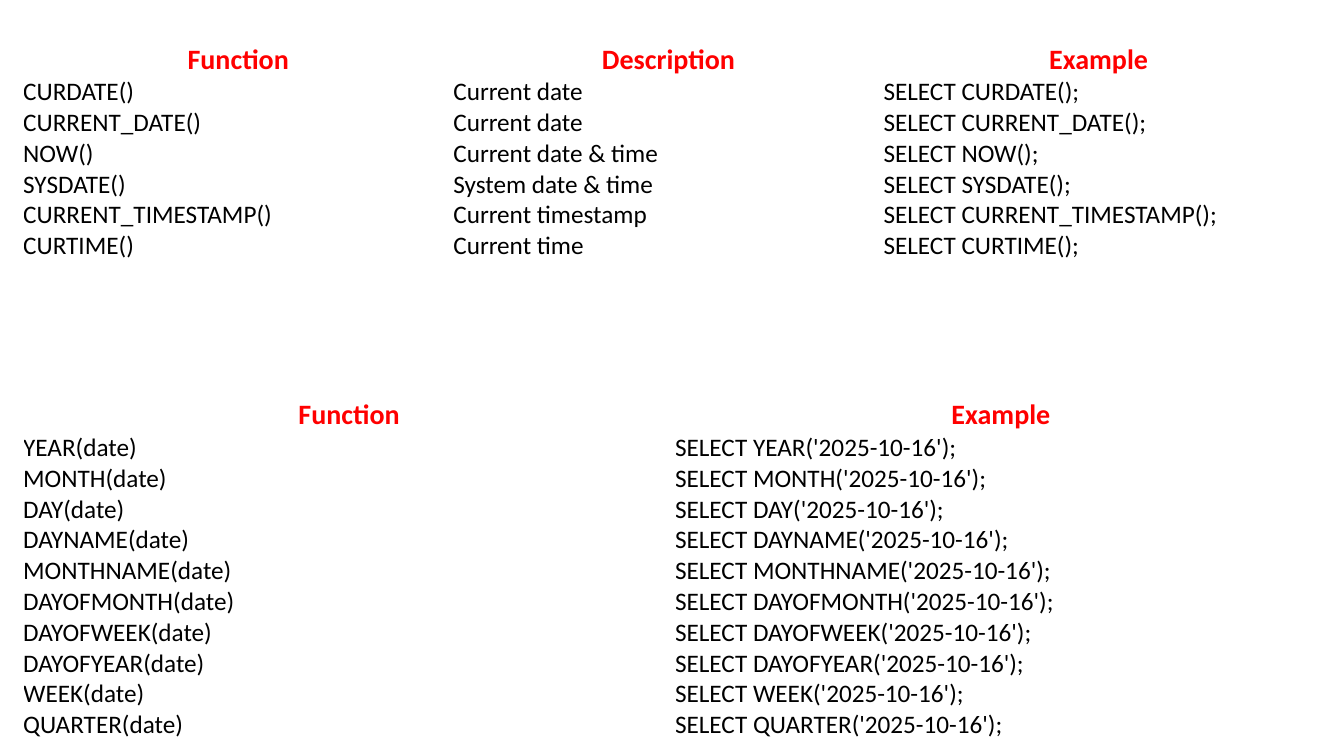
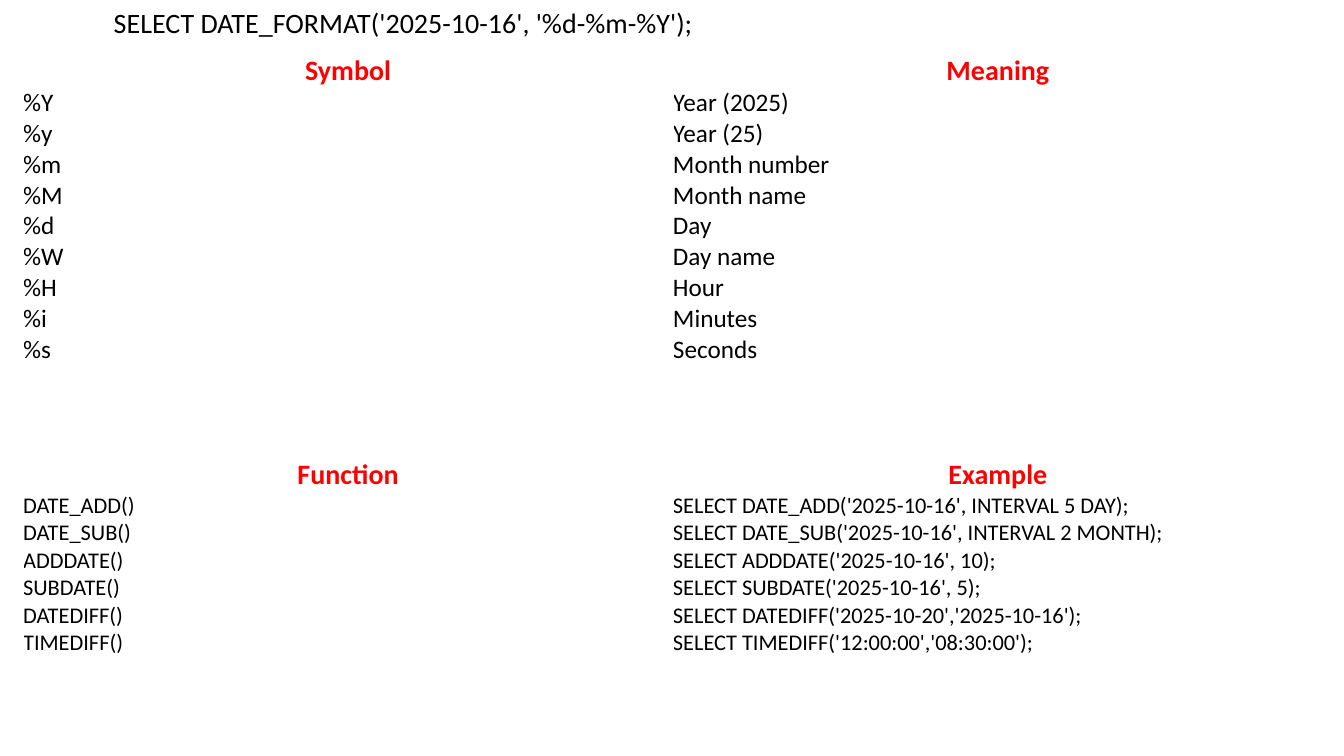
"""Build two reference slides on SQL date and time functions."""
import pptx
import pptx.dml.color
import pptx.enum.text
import pptx.util

Inches = pptx.util.Inches
Pt = pptx.util.Pt
RGB = pptx.dml.color.RGBColor
PP_ALIGN = pptx.enum.text.PP_ALIGN
MIDDLE = pptx.enum.text.MSO_ANCHOR.MIDDLE

THEME = {
    "font": "Calibri",
    "head": RGB(0xFF, 0x00, 0x00),
    "body": RGB(0x00, 0x00, 0x00),
    "head_size": 20,
    "head_height": 0.33,
    "row_heights": {18: 0.3, 16: 0.27},
    "left": 0.23,
}

CURRENT = [
    ("Function", "Description", "Example"),
    ("CURDATE()", "Current date", "SELECT CURDATE();"),
    ("CURRENT_DATE()", "Current date", "SELECT CURRENT_DATE();"),
    ("NOW()", "Current date & time", "SELECT NOW();"),
    ("SYSDATE()", "System date & time", "SELECT SYSDATE();"),
    ("CURRENT_TIMESTAMP()", "Current timestamp", "SELECT CURRENT_TIMESTAMP();"),
    ("CURTIME()", "Current time", "SELECT CURTIME();"),
]

PART_NAMES = ["YEAR", "MONTH", "DAY", "DAYNAME", "MONTHNAME", "DAYOFMONTH",
              "DAYOFWEEK", "DAYOFYEAR", "WEEK", "QUARTER"]
PARTS = [("Function", "Example")] + [
    (f"{name}(date)", f"SELECT {name}('2025-10-16');") for name in PART_NAMES
]

SYMBOLS = [
    ("Symbol", "Meaning"),
    ("%Y", "Year (2025)"),
    ("%y", "Year (25)"),
    ("%m", "Month number"),
    ("%M", "Month name"),
    ("%d", "Day"),
    ("%W", "Day name"),
    ("%H", "Hour"),
    ("%i", "Minutes"),
    ("%s", "Seconds"),
]

ARITHMETIC = [
    ("Function", "Example"),
    ("DATE_ADD()", "SELECT DATE_ADD('2025-10-16', INTERVAL 5 DAY);"),
    ("DATE_SUB()", "SELECT DATE_SUB('2025-10-16', INTERVAL 2 MONTH);"),
    ("ADDDATE()", "SELECT ADDDATE('2025-10-16', 10);"),
    ("SUBDATE()", "SELECT SUBDATE('2025-10-16', 5);"),
    ("DATEDIFF()", "SELECT DATEDIFF('2025-10-20','2025-10-16');"),
    ("TIMEDIFF()", "SELECT TIMEDIFF('12:00:00','08:30:00');"),
]

SLIDES = [
    {"tables": [(CURRENT, 0.42, 12.8, 18), (PARTS, 3.95, 12.93, 18)]},
    {"tables": [(SYMBOLS, 0.53, 12.89, 18), (ARITHMETIC, 4.54, 12.89, 16)],
     "query": "SELECT DATE_FORMAT('2025-10-16', '%d-%m-%Y');"},
]


def write(tf, text, size, color, bold=False, align=PP_ALIGN.LEFT):
    tf.text = text
    p = tf.paragraphs[0]
    p.alignment = align
    font = p.runs[0].font
    font.name, font.size, font.bold = THEME["font"], Pt(size), bold
    font.color.rgb = color


def add_grid(s, rows, top, width, size):
    columns = len(rows[0])
    row_height = THEME["row_heights"][size]
    height = THEME["head_height"] + row_height * (len(rows) - 1)
    table = s.shapes.add_table(len(rows), columns, Inches(THEME["left"]), Inches(top),
                               Inches(width), Inches(height)).table
    table.first_row = table.horz_banding = False
    for column in table.columns:
        column.width = Inches(width / columns)
    for i, row in enumerate(rows):
        table.rows[i].height = Inches(row_height if i else THEME["head_height"])
        for j, text in enumerate(row):
            cell = table.cell(i, j)
            cell.fill.background()
            cell.vertical_anchor = MIDDLE
            cell.margin_left = cell.margin_right = cell.margin_top = cell.margin_bottom = 0
            if i:
                write(cell.text_frame, text, size, THEME["body"])
            else:
                write(cell.text_frame, text, THEME["head_size"], THEME["head"],
                      True, PP_ALIGN.CENTER)


def add_query(s, text):
    sp = s.shapes.add_textbox(Inches(1.03), Inches(0.01), Inches(11.47), Inches(0.4))
    sp.text_frame.word_wrap = True
    write(sp.text_frame, text, THEME["head_size"], THEME["body"])


def main():
    prs = pptx.Presentation()
    prs.slide_width, prs.slide_height = Inches(13.33), Inches(7.5)
    for content in SLIDES:
        s = prs.slides.add_slide(prs.slide_layouts[6])
        for grid in content["tables"]:
            add_grid(s, *grid)
        if "query" in content:
            add_query(s, content["query"])
    prs.save("out.pptx")


if __name__ == "__main__":
    main()
